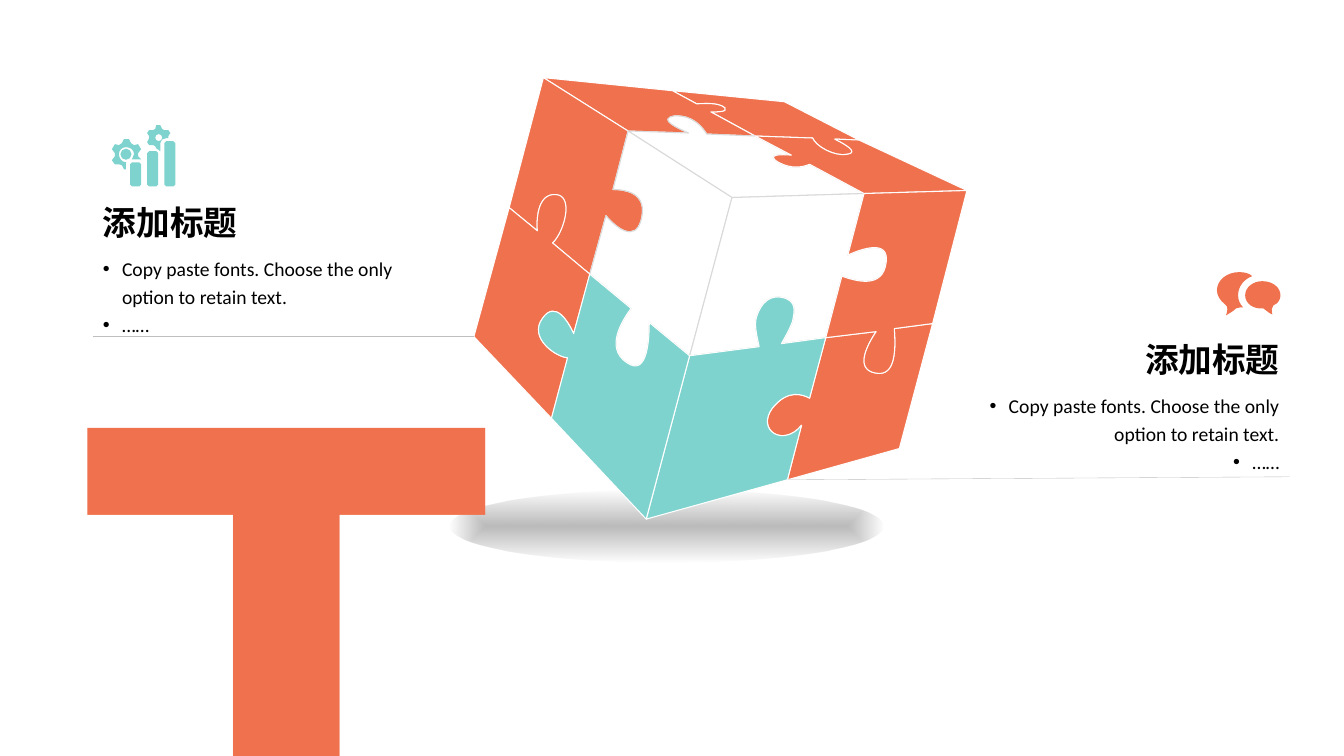
from dataclasses import dataclass

from lxml import etree
from pptx import Presentation
from pptx.dml.color import RGBColor
from pptx.enum.shapes import MSO_CONNECTOR, MSO_SHAPE
from pptx.enum.text import MSO_ANCHOR, MSO_AUTO_SIZE, PP_ALIGN
from pptx.oxml.ns import qn
from pptx.util import Pt

STRAIGHT, OVAL = MSO_CONNECTOR.STRAIGHT, MSO_SHAPE.OVAL
LEFT, RIGHT = PP_ALIGN.LEFT, PP_ALIGN.RIGHT
TOP, BOTTOM = MSO_ANCHOR.TOP, MSO_ANCHOR.BOTTOM
NO_FIT, GROW = MSO_AUTO_SIZE.NONE, MSO_AUTO_SIZE.SHAPE_TO_FIT_TEXT
PX = 9144  # EMU; 100 px to the inch


@dataclass(frozen=True)
class Theme:
    font: str = "Calibri"
    orange: str = "F0714E"
    teal: str = "7ED3CE"
    white: str = "FFFFFF"
    seam: str = "D9D9D9"
    rule: str = "BFBFBF"
    ink: str = "000000"
    heading_size: int = 24
    body_size: int = 14
    letter_size: int = 595


THEME = Theme()

# Content: heading and bullets of each side
BULLETS = ["Copy paste fonts. Choose the only option to retain text.", "……"]
NOTES = [
    dict(heading="添加标题", bullets=BULLETS, x=92, y=203, align=LEFT, slots=(1, 2)),
    dict(heading="添加标题", bullets=BULLETS, x=918, y=339, align=RIGHT, slots=(3, 4)),
]
NOTE_W, HEADING_H, BODY_H = 361, 42, 79
LETTER, LETTER_BOX = "T", (70, 130, 332, 1011)
SHADOW_BOX = (446, 486, 430, 72)

# Cube corners, edge midpoints and face centres
CORNERS = dict(
    A=(539, 77), B=(778, 101), D=(959, 189), E=(726, 196), G=(470, 334),
    H=(641, 515), I=(892, 445), P=(667, 90), Q=(852, 139), M=(623, 130),
    N=(857, 192), C=(749, 135), R=(505, 206), S=(684, 353), U=(547, 415),
    K=(585, 272), V=(925, 321), W=(781, 476), X=(819, 335))

# Jigsaw seams between two corners: pairs are lines, sixes are Bézier curves
SEAMS = {
    "PC": [(691, 103), (696, 103, 712, 101, 719, 107), (722, 111, 712, 111, 705, 111)],
    "CQ": [(806, 137), (809, 145, 828, 156, 841, 153), (852, 151, 838, 143, 828, 138)],
    "MC": [(683, 132), (672, 127, 652, 118, 669, 115), (688, 114, 697, 127, 701, 133)],
    "CN": [(785, 154), (775, 153, 759, 153, 772, 161), (785, 168, 796, 166, 803, 163)],
    "RK": [(533, 229), (532, 218, 533, 192, 551, 193), (570, 194, 559, 231, 548, 241)],
    "MK": [(608, 188), (620, 188, 643, 191, 636, 218), (630, 241, 611, 226, 601, 214)],
    "KS": [(626, 306), (618, 317, 599, 345, 622, 360), (641, 373, 644, 342, 644, 320)],
    "KU": [(569, 331), (564, 320, 551, 297, 538, 316), (524, 335, 551, 354, 563, 355)],
    "NX": [(841, 253), (854, 247, 882, 237, 879, 260), (876, 287, 849, 279, 835, 274)],
    "SX": [(753, 344), (752, 338, 748, 325, 750, 316), (752, 308, 759, 292, 775, 295),
           (791, 298, 788, 309, 786, 319), (784, 325, 778, 336, 775, 341)],
    "XV": [(869, 329), (861, 341, 847, 366, 868, 370), (890, 375, 888, 342, 887, 326)],
    "XW": [(803, 395), (797, 392, 782, 385, 766, 405), (750, 427, 777, 444, 795, 422)],
}
PIECES = [
    ("PCQB", THEME.orange), ("APCM", THEME.orange), ("AMKR", THEME.orange),
    ("MCNE", THEME.white), ("MKSE", THEME.white), ("NXSE", THEME.white),
    ("XVIW", THEME.orange), ("CQDN", THEME.orange), ("NDVX", THEME.orange),
    ("RKUG", THEME.orange), ("SXWH", THEME.teal), ("KSHU", THEME.teal),
]
RULES = [("G", (92, 334)), ("W", (1279, 473))]

# Icons
BARS = [(129, 161), (146, 150), (163, 140)]  # left, top
BAR_W, BAR_BOTTOM = 11, 185
BIG_GEAR = [
    (123, 138), (128, 138), (130, 142), (133, 144), (137, 143), (140, 148), (137, 152),
    (137, 155), (140, 158), (131, 158), (133, 153), (133, 149, 130, 146, 125, 146),
    (121, 146, 118, 149, 118, 153), (118, 157, 121, 161, 125, 161), (125, 168),
    (123, 168), (121, 164), (118, 163), (114, 163), (111, 159), (114, 155), (114, 152),
    (111, 148), (114, 143), (118, 144), (121, 142)]
SMALL_GEAR = [
    (155, 124), (159, 124), (161, 128), (163, 129), (167, 129), (169, 132), (167, 135),
    (167, 137), (165, 137), (162, 137, 159, 139, 159, 142), (159, 150), (155, 147),
    (154, 145), (152, 144), (148, 144), (146, 141), (148, 137), (148, 135), (146, 132),
    (148, 129), (152, 129), (154, 128)]
FRONT_BUBBLE = [
    (1252, 279), (1262, 279, 1270, 285, 1270, 293), (1270, 297, 1268, 301, 1263, 303),
    (1261, 305, 1261, 308, 1262, 312), (1259, 311, 1256, 308, 1253, 306),
    (1243, 307, 1235, 301, 1235, 293), (1235, 285, 1243, 279, 1252, 279)]
BACK_BUBBLE = [
    (1229, 270), (1234, 270, 1239, 271, 1242, 274), (1234, 277, 1228, 284, 1228, 293),
    (1228, 298, 1230, 302, 1233, 305), (1231, 305, 1228, 305, 1226, 306),
    (1223, 309, 1219, 311, 1216, 313), (1217, 310, 1219, 304, 1215, 302),
    (1210, 298, 1207, 293, 1207, 288), (1207, 278, 1217, 270, 1229, 270)]


def rgb(colour):
    return RGBColor.from_string(colour)


def emu(values):
    return [round(v * PX) for v in values]


def backwards(steps):
    turned = [steps[-1][-2:]]
    for target, step in zip(steps[-2::-1], steps[:0:-1]):
        controls = step[2:4] + step[:2] if len(step) == 6 else ()
        turned.append(controls + target[-2:])
    return turned


def edge(start, end):
    if end + start in SEAMS:
        return backwards(edge(end, start))
    return [CORNERS[start], *SEAMS.get(start + end, []), CORNERS[end]]


def circle(x, y, radius):
    k = 0.55
    unit = [(1, 0), (1, k, k, 1, 0, 1), (-k, 1, -1, k, -1, 0),
            (-1, -k, -k, -1, 0, -1), (k, -1, 1, -k, 1, 0)]
    return [tuple((y if i % 2 else x) + radius * v for i, v in enumerate(step))
            for step in unit]


def bar(x, y, cut=2):
    right, bottom = x + BAR_W, BAR_BOTTOM
    return [(x + cut, y), (right - cut, y), (right, y + cut), (right, bottom - cut),
            (right - cut, bottom), (x + cut, bottom), (x, bottom - cut), (x, y + cut)]


def add_outline(shapes, contours, fill, line=None):
    contours = [[emu(step) for step in contour] for contour in contours]
    builder = shapes.build_freeform(*contours[0][0])
    for i, contour in enumerate(contours):
        if i:
            builder.move_to(*contour[0])
        builder.add_line_segments([step[-2:] for step in contour[1:]])
    outline = builder.convert_to_shape()

    # Turn the six-number steps into curves
    nodes = outline._element.spPr.iter(qn("a:moveTo"), qn("a:lnTo"))
    steps = [step for contour in contours for step in contour]
    for node, step in list(zip(nodes, steps)):
        if len(step) == 6:
            curve = etree.Element(qn("a:cubicBezTo"))
            for x, y in zip(step[::2], step[1::2]):
                etree.SubElement(curve, qn("a:pt"), x=str(x - outline.left),
                                 y=str(y - outline.top))
            node.getparent().replace(node, curve)

    outline.shadow.inherit = False
    outline.fill.solid()
    outline.fill.fore_color.rgb = rgb(fill)
    if line:
        outline.line.color.rgb = rgb(line)
        outline.line.width = Pt(0.75)
    else:
        outline.line.fill.background()


def write(box, place, lines, size, bold, align, anchor, colour=THEME.ink, fit=NO_FIT,
          bullet=False):
    box.left, box.top, box.width, box.height = emu(place)
    frame = box.text_frame
    frame.word_wrap, frame.auto_size, frame.vertical_anchor = True, fit, anchor
    for i, text in enumerate(lines):
        para = frame.add_paragraph() if i else frame.paragraphs[0]
        if bullet:
            props = para._p.get_or_add_pPr()
            props.set("marL", str(19 * PX))
            props.set("indent", str(-19 * PX))
            etree.SubElement(props, qn("a:buFont")).set("typeface", "Arial")
            etree.SubElement(props, qn("a:buChar")).set("char", "•")
        para.alignment = align
        para.space_before = Pt(0)
        para.line_spacing = 1.2 if bullet else 1.0
        run = para.add_run()
        run.text = text
        run.font.name, run.font.size, run.font.bold = THEME.font, Pt(size), bold
        run.font.color.rgb = rgb(colour)


def add_shadow(shapes):
    shadow = shapes.add_shape(OVAL, *emu(SHADOW_BOX))
    shadow.shadow.inherit = False
    shadow.line.fill.background()
    gradient = etree.Element(qn("a:gradFill"), rotWithShape="1")
    stops = etree.SubElement(gradient, qn("a:gsLst"))
    for position, alpha in ((0, 27), (100, 0)):
        stop = etree.SubElement(stops, qn("a:gs"), pos=str(position * 1000))
        colour = etree.SubElement(stop, qn("a:srgbClr"), val=THEME.ink)
        etree.SubElement(colour, qn("a:alpha"), val=str(alpha * 1000))
    fade = etree.SubElement(gradient, qn("a:path"), path="shape")
    etree.SubElement(fade, qn("a:fillToRect"), l="50000", t="50000", r="50000", b="50000")
    shadow._element.spPr.find(qn("a:prstGeom")).addnext(gradient)


def main():
    deck = Presentation()
    deck.slide_width, deck.slide_height = emu((1333, 750))
    slide = deck.slides.add_slide(deck.slide_layouts.get_by_name("Comparison"))
    shapes = slide.shapes
    title = shapes.title._element
    title.getparent().remove(title)

    # Headings and lists
    for note in NOTES:
        heading, body = (slide.placeholders[slot] for slot in note["slots"])
        x, y, align = note["x"], note["y"], note["align"]
        write(heading, (x, y, NOTE_W, HEADING_H), [note["heading"]],
              THEME.heading_size, True, align, BOTTOM)
        write(body, (x, y + HEADING_H, NOTE_W, BODY_H), note["bullets"],
              THEME.body_size, False, align, TOP, bullet=True)

    # Cube on its shadow
    add_shadow(shapes)
    for corners, fill in PIECES:
        contour = [CORNERS[corners[0]]]
        for start, end in zip(corners, corners[1:] + corners[0]):
            contour += edge(start, end)[1:]
        add_outline(shapes, [contour], fill,
                    THEME.seam if fill == THEME.white else THEME.white)

    # Rules from the cube to the notes
    for corner, end in RULES:
        rule = shapes.add_connector(STRAIGHT, *emu(CORNERS[corner] + end))
        rule.line.color.rgb = rgb(THEME.rule)
        rule.line.width = Pt(0.25)
        etree.SubElement(rule._element.spPr, qn("a:effectLst"))

    # Icons
    add_outline(shapes, [bar(*spot) for spot in BARS] + [
        BIG_GEAR, circle(125, 153, 5.5), SMALL_GEAR, circle(157.5, 136.5, 3.5)], THEME.teal)
    add_outline(shapes, [FRONT_BUBBLE, BACK_BUBBLE], THEME.orange)

    # Large letter
    write(shapes.add_textbox(0, 0, 0, 0), LETTER_BOX, [LETTER],
          THEME.letter_size, True, LEFT, TOP, THEME.orange, GROW)
    deck.save("out.pptx")


if __name__ == "__main__":
    main()
